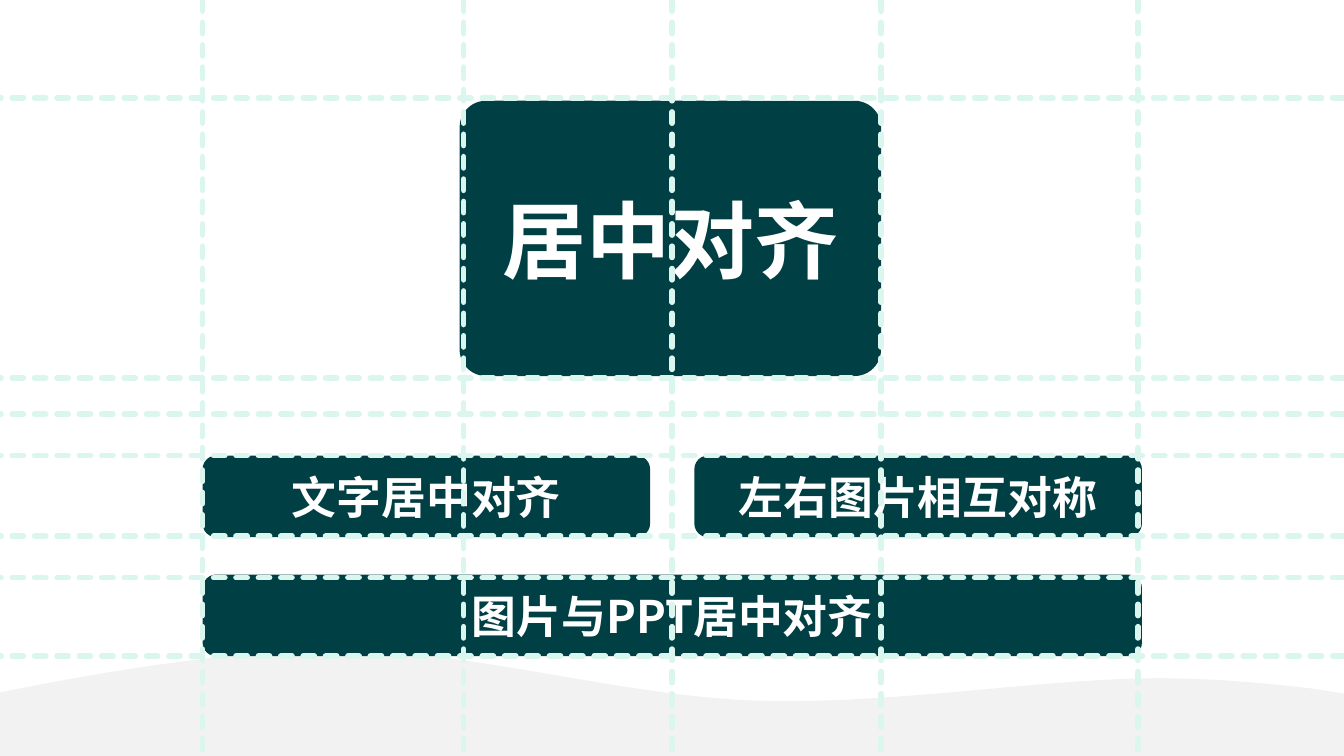
from lxml import etree
from pptx import Presentation
from pptx.dml.color import RGBColor
from pptx.enum.dml import MSO_LINE
from pptx.enum.shapes import MSO_CONNECTOR, MSO_SHAPE
from pptx.enum.text import MSO_ANCHOR, PP_ALIGN
from pptx.oxml.ns import qn
from pptx.util import Pt

ROUNDED = MSO_SHAPE.ROUNDED_RECTANGLE
STRAIGHT = MSO_CONNECTOR.STRAIGHT
SYS_DASH = MSO_LINE.SQUARE_DOT
MIDDLE = MSO_ANCHOR.MIDDLE
CENTER = PP_ALIGN.CENTER

TEAL = RGBColor(0x00, 0x3F, 0x43)
MINT = RGBColor(0xDB, 0xF6, 0xEF)
GRAY = RGBColor(0xF2, 0xF2, 0xF2)
WHITE = RGBColor(0xFF, 0xFF, 0xFF)
FONT = "Noto Sans CJK SC"

WIDTH, HEIGHT = 960, 540
LEFT, ROW, BAR_H = 144.7, 325.4, 58.3
HALF_W, FULL_W = 319.7, 671

BOXES = [
    ("居中对齐", 328.3, 72, 301, 196.6, 60, 0.096),
    ("文字居中对齐", LEFT, ROW, HALF_W, BAR_H, 32, 0.1667),
    ("左右图片相互对称", LEFT + FULL_W - HALF_W, ROW, HALF_W, BAR_H, 32, 0.1667),
    ("图片与PPT居中对齐", LEFT, 410.4, FULL_W, BAR_H, 32, 0.1667),
]
GUIDES_X = [LEFT, 331.2, WIDTH / 2, 629.3, 812.9]
GUIDES_Y = [69.8, 270, 295.9, ROW, 383, 412.6, 468.7]

WAVE_START = (0, 494.6)
WAVE_CURVES = [
    ((7.2, 493.2), (74.9, 479.5), (160.6, 465.8), (225.4, 464.4)),
    ((225.4, 464.4), (231.8, 464.4), (238.3, 464.4), (245.5, 464.4)),
    ((245.5, 464.4), (343.4, 465.8), (442.8, 496.8), (538.6, 500.4)),
    ((538.6, 500.4), (641.5, 504), (755.3, 482.4), (841, 484.6)),
    ((841, 484.6), (873.4, 485.3), (906.5, 488.2), (936.7, 491.8)),
]
WAVE_END = [(WIDTH, 495.4), (WIDTH, HEIGHT), (0, HEIGHT)]


def bezier(curve, steps=24):
    points = []
    for i in range(steps + 1):
        t = i / steps
        u = 1 - t
        weights = (u**3, 3 * u * u * t, 3 * u * t * t, t**3)
        points.append(tuple(sum(w * c for w, c in zip(weights, axis))
                            for axis in zip(*curve)))
    return points


def paint(sp, color):
    sp.shadow.inherit = False
    sp.fill.solid()
    sp.fill.fore_color.rgb = color
    sp.line.fill.background()


def add_wave(s):
    points = [pt for curve in WAVE_CURVES for pt in bezier(curve)] + WAVE_END
    builder = s.shapes.build_freeform(*map(Pt, WAVE_START))
    builder.add_line_segments([(Pt(x), Pt(y)) for x, y in points], close=True)
    paint(builder.convert_to_shape(), GRAY)


def add_box(s, text, x, y, w, h, size, corner):
    sp = s.shapes.add_shape(ROUNDED, Pt(x), Pt(y), Pt(w), Pt(h))
    sp.adjustments[0] = corner
    paint(sp, TEAL)
    tf = sp.text_frame
    tf.word_wrap = True
    tf.vertical_anchor = MIDDLE
    p = tf.paragraphs[0]
    p.text = text
    p.alignment = CENTER
    r = p.runs[0]
    r.font.size = Pt(size)
    r.font.bold = True
    r.font.color.rgb = WHITE
    r.font.name = FONT
    ea = etree.SubElement(r.font._element, qn("a:ea"))
    ea.set("typeface", FONT)


def add_guide(s, x1, y1, x2, y2):
    line = s.shapes.add_connector(STRAIGHT, Pt(x1), Pt(y1), Pt(x2), Pt(y2))
    line.line.color.rgb = MINT
    line.line.width = Pt(4)
    line.line.dash_style = SYS_DASH
    props = line._element.spPr
    props.find(qn("a:ln")).set("cap", "rnd")
    dash = props.find(qn("a:ln")).find(qn("a:prstDash"))
    dash.set("val", "sysDash")
    etree.SubElement(props, qn("a:effectLst"))


def main():
    prs = Presentation()
    prs.slide_width, prs.slide_height = Pt(WIDTH), Pt(HEIGHT)
    s = prs.slides.add_slide(prs.slide_layouts[6])
    add_wave(s)
    for box in BOXES:
        add_box(s, *box)
    for x in GUIDES_X:
        add_guide(s, x, 0, x, HEIGHT)
    for y in GUIDES_Y:
        add_guide(s, WIDTH, y, 0, y)
    prs.save("out.pptx")


if __name__ == "__main__":
    main()
